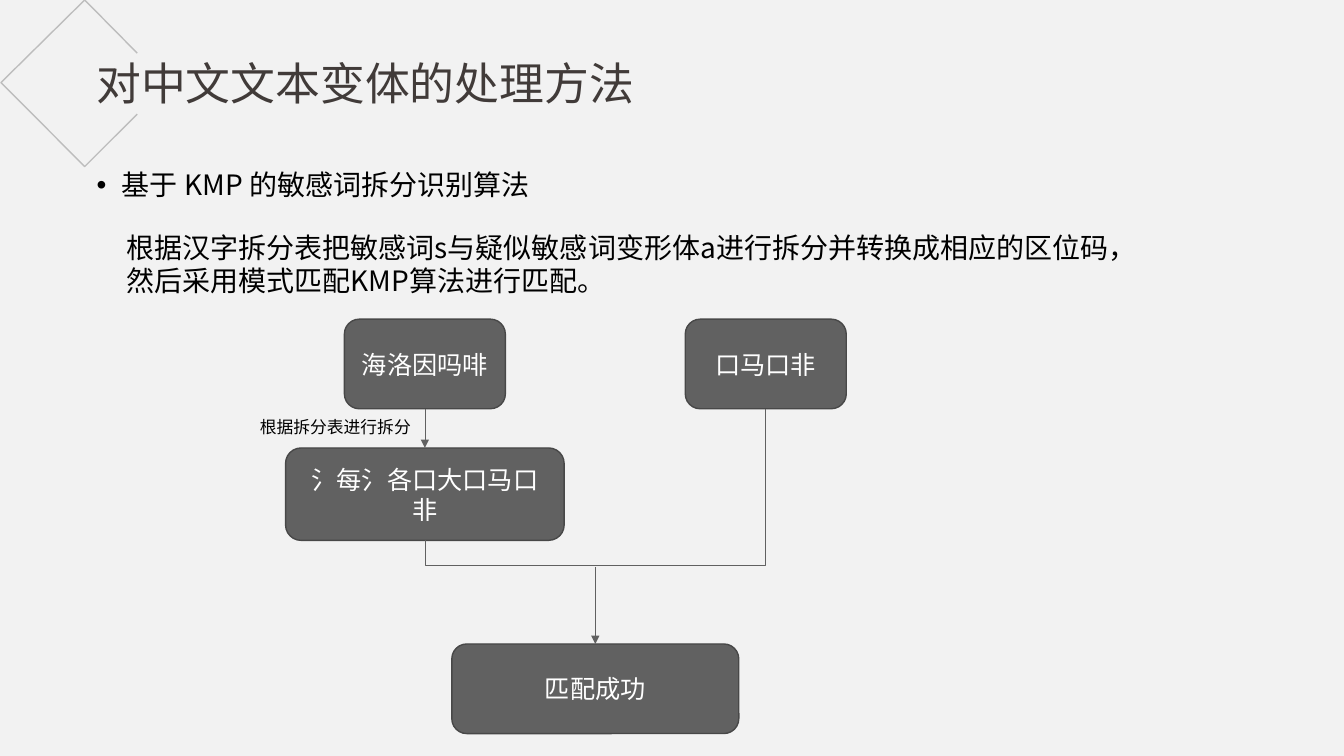
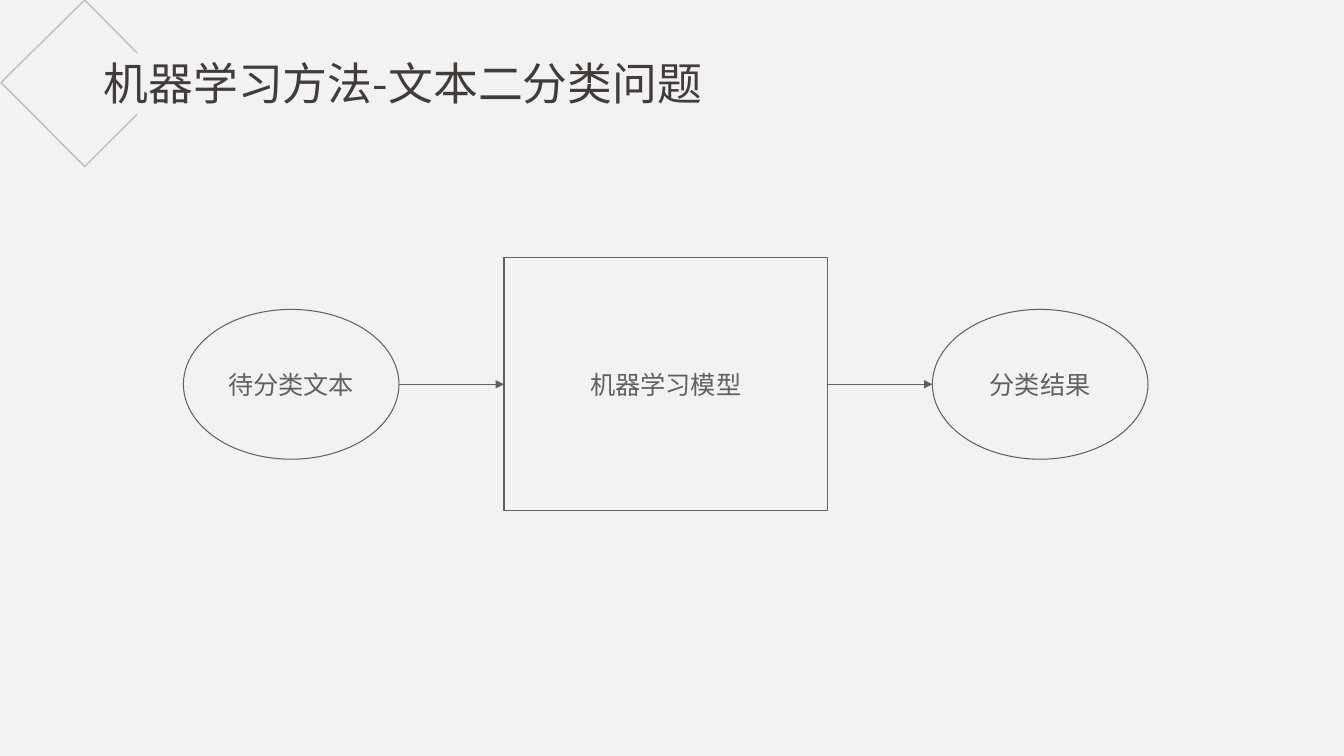
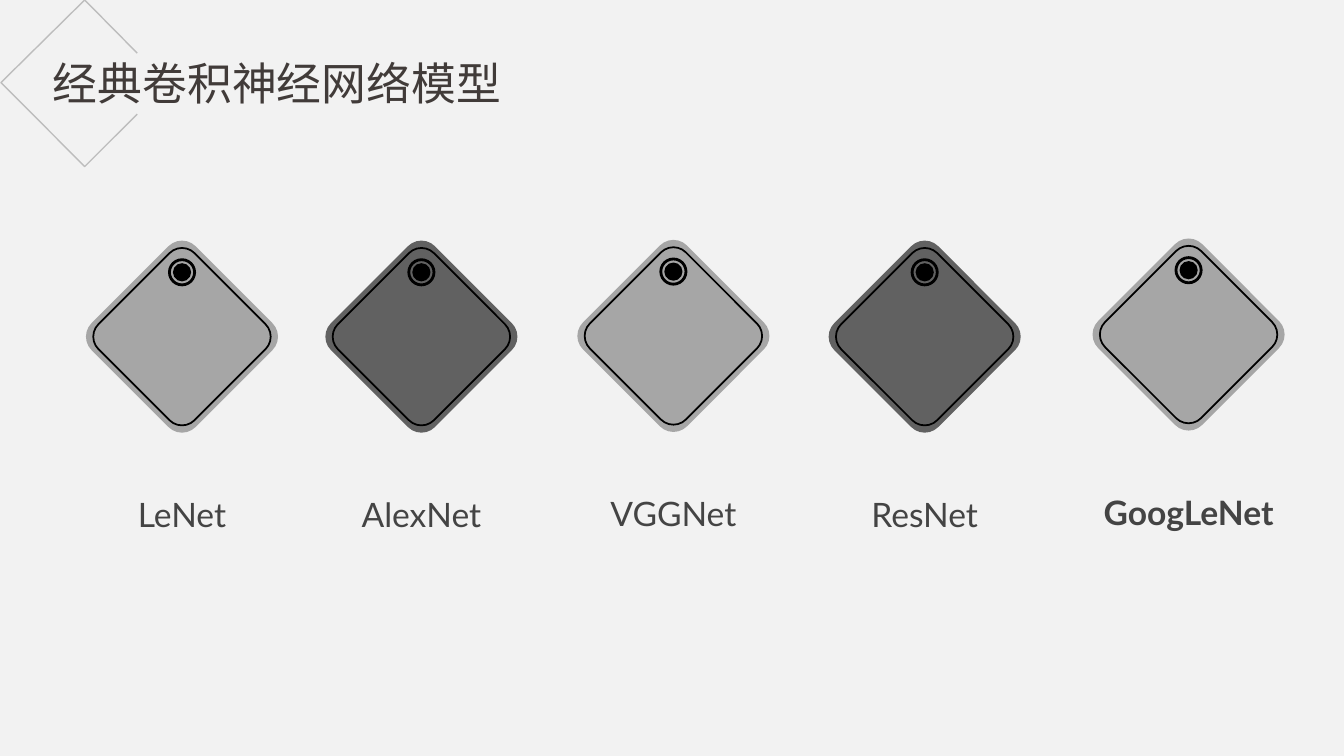
from lxml import etree
from pptx import Presentation
from pptx.dml.color import RGBColor
from pptx.enum import shapes, text
from pptx.oxml.ns import qn
from pptx.util import Pt

CJK = "Noto Sans CJK JP"
DARK, EDGE, PALE = "616161", "484848", "A6A6A6"
BLACK, WHITE = "000000", "FFFFFF"
KIND = shapes.MSO_SHAPE
LINK = shapes.MSO_CONNECTOR
ALIGN = text.PP_ALIGN


def hue(code):
    return RGBColor.from_string(code)


def sub(node, tag, **attrs):
    """Append a DrawingML element."""
    item = etree.SubElement(node, qn("a:" + tag))
    for key, value in attrs.items():
        item.set(key, str(value))
    return item


class Deck:
    def __init__(self):
        self.prs = Presentation()
        self.prs.slide_width, self.prs.slide_height = Pt(960), Pt(540)
        fill = self.prs.slide_master.background.fill
        fill.solid()
        fill.fore_color.rgb = hue("F2F2F2")

    def page(self, title, left, width, align=ALIGN.CENTER):
        """Start a slide with its title and the open diamond."""
        self.slide = self.prs.slides.add_slide(self.prs.slide_layouts[6])
        self.items = self.slide.shapes
        self.note([title], left, 36, width, 46, 32, color="413B39", align=align)
        points = [(98, 38), (60.5, 0), (0.7, 59), (60.5, 119), (98, 81.5)]
        points = [(Pt(x), Pt(y)) for x, y in points]
        form = self.items.build_freeform(*points[0], scale=1.0)
        form.add_line_segments(points[1:], close=False)
        mark = form.convert_to_shape()
        self.paint(mark, None, "808080", 1)
        tint = next(mark._element.spPr.iter(qn("a:srgbClr")))
        sub(tint, "alpha", val=45000)

    def paint(self, item, fill, line, weight):
        item.shadow.inherit = False
        if fill:
            item.fill.solid()
            item.fill.fore_color.rgb = hue(fill)
        else:
            item.fill.background()
        if line:
            item.line.color.rgb = hue(line)
            item.line.width = Pt(weight)
        else:
            item.line.fill.background()

    def say(self, para, words, size, color, face=CJK, bold=None):
        """Add one run of text."""
        run = para.add_run()
        run.text = words
        font = run.font
        font.size, font.name, font.bold = Pt(size), face, bold
        font.color.rgb = hue(color)
        props = run._r.get_or_add_rPr()
        props.set("lang", "zh-CN")
        sub(props, "ea", typeface=CJK)

    def note(self, lines, left, top, width, height, size, color=BLACK,
             align=ALIGN.LEFT, face=CJK, bold=None, inset=True, space=None,
             margin=0, bullet=None):
        """Add a text box, one paragraph for each line."""
        box = self.items.add_textbox(Pt(left), Pt(top), Pt(width), Pt(height))
        frame = box.text_frame
        frame.word_wrap = True
        if not inset:
            frame.margin_left = frame.margin_right = 0
            frame.margin_top = frame.margin_bottom = 0
        for i, words in enumerate(lines):
            para = frame.add_paragraph() if i else frame.paragraphs[0]
            para.alignment, para.line_spacing = align, space
            props = para._p.get_or_add_pPr()
            if margin:
                props.set("marL", str(Pt(margin)))
                props.set("indent", str(-Pt(margin) if bullet else 0))
            if bullet:
                sub(props, "buFont", typeface="Arial")
                sub(props, "buChar", char=bullet)
            self.say(para, words, size, color, face, bold)

    def shape(self, kind, mid, top, width, height, fill=None, line=None,
              weight=1, words="", color=WHITE, face=CJK):
        """Add a preset shape centred on the x position mid."""
        item = self.items.add_shape(kind, Pt(mid - width / 2), Pt(top),
                                    Pt(width), Pt(height))
        self.paint(item, fill, line, weight)
        if words:
            frame = item.text_frame
            frame.word_wrap = True
            frame.vertical_anchor = text.MSO_ANCHOR.MIDDLE
            para = frame.paragraphs[0]
            para.alignment = ALIGN.CENTER
            self.say(para, words, 18, color, face)
        return item

    def step(self, words, mid, top, width, height):
        return self.shape(KIND.ROUNDED_RECTANGLE, mid, top, width, height,
                          DARK, EDGE, 1, words)

    def link(self, start, end, kind=LINK.STRAIGHT, head=True):
        """Join two ends, each a point or a (shape, side) pair."""
        ends = [p if isinstance(p[0], (int, float)) else (0, 0)
                for p in (start, end)]
        line = self.items.add_connector(
            kind, *[Pt(v) for point in ends for v in point])
        for point, join in ((start, line.begin_connect), (end, line.end_connect)):
            if not isinstance(point[0], (int, float)):
                join(*point)
        line.line.color.rgb = hue(DARK)
        line.line.width = Pt(0.5)
        props = line._element.spPr
        if head:
            sub(props.find(qn("a:ln")), "tailEnd", type="triangle")
        sub(props, "effectLst")
        return line

    def bend(self, start, end, drop):
        """Join two bottom sides by a path that dips below the first."""
        line = self.link((start, 2), (end, 2), LINK.ELBOW, head=False)
        x1, x2 = (s.left + s.width // 2 for s in (start, end))
        y1, y2 = (s.top + s.height for s in (start, end))
        wide, tall = x2 - x1, y1 - y2
        line.left = (x1 + x2 - tall) // 2
        line.top = (y1 + y2 - wide) // 2
        line.width, line.height = tall, wide
        props = line._element.spPr
        frame = props.find(qn("a:xfrm"))
        for key, value in (("rot", 5400000), ("flipH", 1), ("flipV", 1)):
            frame.set(key, str(value))
        geom = props.find(qn("a:prstGeom"))
        ratio = round(-Pt(drop) / tall * 100000)
        sub(geom.find(qn("a:avLst")), "gd", name="adj1", fmla=f"val {ratio}")

    def tag(self, name, mid, row, fill, bold):
        """Add a hanging diamond with its name below."""
        for side, tone, line in ((105, fill, None), (97, None, BLACK)):
            item = self.shape(KIND.ROUNDED_RECTANGLE, mid, row - side / 2,
                              side, side, tone, line, 1.25)
            item.adjustments[0] = 0.13
            item.rotation = 45
        for side, tone, line in ((13, BLACK, None), (18, None, BLACK)):
            self.shape(KIND.OVAL, mid, row - 46 - side / 2, side, side,
                       tone, line, 2)
        self.note([name], mid - 78.5, row + 98, 157, 38, 24, "444444",
                  ALIGN.CENTER, "Lato", bold, inset=False, space=1.5)


def variants(deck):
    deck.page("对中文文本变体的处理方法", 32, 458)
    deck.note(["基于 KMP 的敏感词拆分识别算法"], 62, 119, 404, 37, 20,
              space=0.9, margin=18, bullet="•")
    deck.note(["根据汉字拆分表把敏感词s与疑似敏感词变形体a进行拆分并转换成相应的区位码，",
               "然后采用模式匹配KMP算法进行匹配。"], 47, 161, 820, 78, 20, margin=36)
    left, right = 303.5, 547
    word = deck.step("海洛因吗啡", left, 228, 115, 64)
    other = deck.step("口马口非", right, 228, 115, 64)
    parts = deck.step("氵每氵各口大口马口非", left, 320, 199, 66)
    mid = (left + right) / 2
    match = deck.step("匹配成功", mid, 460, 205, 64)
    deck.link((word, 2), (parts, 0))
    deck.link((mid, 405), (match, 0))
    deck.bend(parts, other, 18)
    deck.note(["根据拆分表进行拆分"], 178.5, 294.5, 125, 22, 12)


def classes(deck):
    deck.page("机器学习方法-文本二分类问题", 67, 598, ALIGN.LEFT)
    mid, row, gap = 475.5, 274.5, 75
    wide, oval = 231, 154
    look = dict(line=DARK, weight=0.75, color=DARK, face="Calibri")
    model = deck.shape(KIND.RECTANGLE, mid, row - 90.5, wide, 181,
                       words="机器学习模型", **look)
    reach = wide / 2 + gap
    for side, words in ((-1, "待分类文本"), (1, "分类结果")):
        deck.shape(KIND.OVAL, mid + side * (reach + oval / 2), row - 53.5,
                   oval, 107, words=words, **look)
    deck.link((mid - reach, row), (model, 1))
    deck.link((model, 3), (mid + reach, row))


def models(deck):
    deck.page("经典卷积神经网络模型", 26.5, 343)
    tags = [("LeNet", 130, 240.5), ("AlexNet", 301, 240.5),
            ("VGGNet", 481, 240), ("ResNet", 660.5, 240.5),
            ("GoogLeNet", 849, 239)]
    for i, (name, mid, row) in enumerate(tags):
        deck.tag(name, mid, row, DARK if i % 2 else PALE, name == "GoogLeNet")


def main():
    deck = Deck()
    for build in (variants, classes, models):
        build(deck)
    deck.prs.save("out.pptx")


if __name__ == "__main__":
    main()
